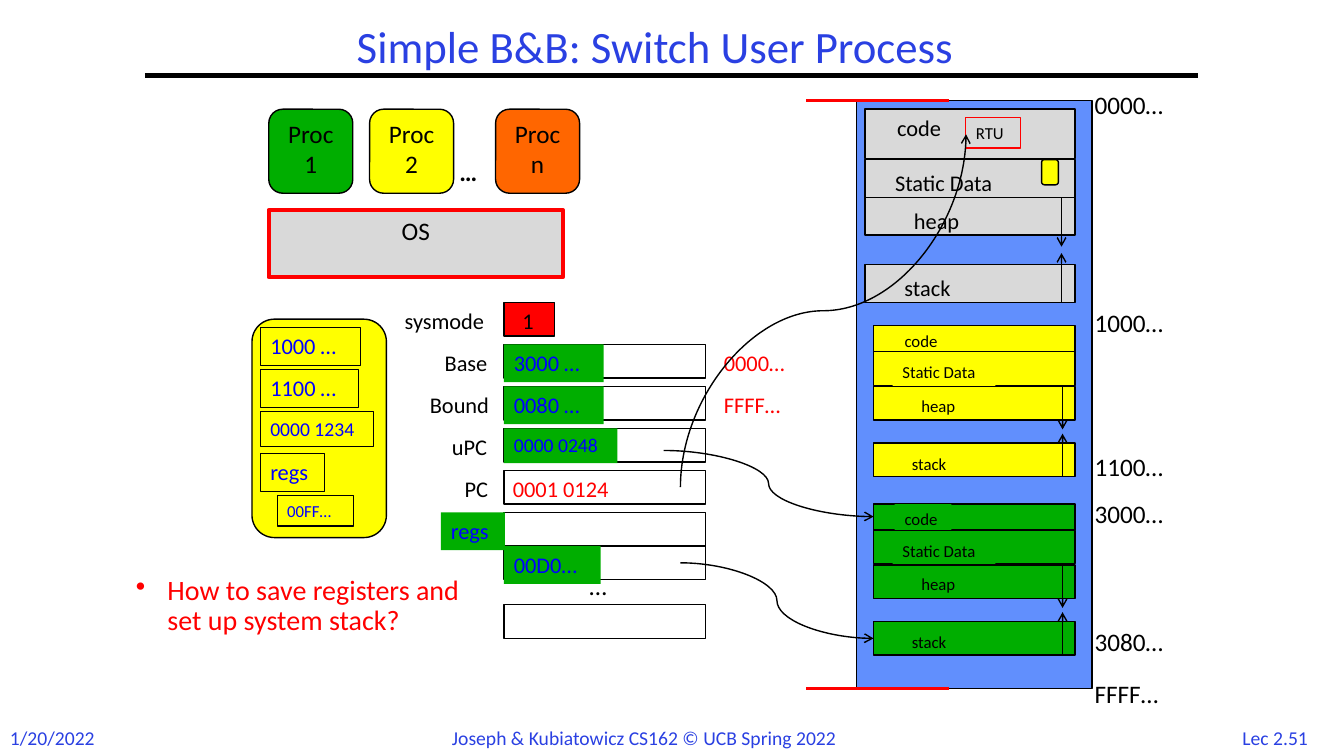
from dataclasses import dataclass

import pptx
import pptx.dml.color
import pptx.enum.shapes
import pptx.enum.text
import pptx.oxml.ns
import pptx.util
from lxml import etree

SHAPE = pptx.enum.shapes.MSO_SHAPE
CURVE = pptx.enum.shapes.MSO_CONNECTOR.CURVE
STRAIGHT = pptx.enum.shapes.MSO_CONNECTOR.STRAIGHT
ALIGN = pptx.enum.text.PP_ALIGN
ANCHOR = pptx.enum.text.MSO_ANCHOR
AUTO_SIZE = pptx.enum.text.MSO_AUTO_SIZE
EMU_PER_PX = 9525


@dataclass(frozen=True)
class Theme:
    font: str = "Calibri"
    black: str = "000000"
    heading: str = "2A40E2"
    red: str = "FF0000"
    blue: str = "0000FF"
    green: str = "00AE00"
    yellow: str = "FFFF00"
    orange: str = "FF6600"
    gray: str = "D9D9D9"
    memory: str = "618FFD"
    title: int = 32
    question: int = 20
    large: int = 18
    normal: int = 16
    small: int = 14
    tiny: int = 12


THEME = Theme()
LABEL_HEIGHT = {THEME.large: 38, THEME.normal: 36, THEME.small: 33, THEME.tiny: 29}


def px(length):
    return pptx.util.Emu(length * EMU_PER_PX)


def rgb(colour):
    return pptx.dml.color.RGBColor.from_string(colour)


class Diagram:
    def __init__(self, slide, theme):
        self.slide, self.theme = slide, theme
        self.shapes = slide.shapes

    def set_text(self, frame, text, size, colour, align=ALIGN.LEFT, bold=False):
        frame.text = text
        paragraph = frame.paragraphs[0]
        paragraph.alignment = align
        font = paragraph.runs[0].font
        font.name, font.size, font.bold = self.theme.font, pptx.util.Pt(size), bold
        font.color.rgb = rgb(colour)
        return paragraph

    def paint(self, shape, fill, line, weight):
        if fill:
            shape.fill.solid()
            shape.fill.fore_color.rgb = rgb(fill)
        else:
            shape.fill.background()
        if line:
            shape.line.color.rgb = rgb(line)
            shape.line.width = pptx.util.Pt(weight)
        else:
            shape.line.fill.background()

    def title(self, text, x, y, w, h):
        heading = self.slide.shapes.title
        heading.left, heading.top, heading.width, heading.height = map(px, (x, y, w, h))
        frame = heading.text_frame
        frame.auto_size, frame.vertical_anchor = AUTO_SIZE.NONE, ANCHOR.MIDDLE
        paragraph = self.set_text(frame, text, self.theme.title, self.theme.heading, ALIGN.CENTER)
        paragraph.line_spacing = 0.9

    def box(self, x, y, w, h, fill=None, text="", line=THEME.black, weight=1, kind=SHAPE.RECTANGLE):
        block = self.shapes.add_shape(kind, px(x), px(y), px(w), px(h))
        block.shadow.inherit = False
        self.paint(block, fill, line, weight)
        if text:
            block.text_frame.vertical_anchor = ANCHOR.TOP
            self.set_text(block.text_frame, text, self.theme.large, self.theme.black, ALIGN.CENTER)

    def label(self, text, x, y, w, size, colour=THEME.black, fill=None, line=None,
              align=ALIGN.LEFT, bold=False):
        tag = self.shapes.add_textbox(px(x), px(y), px(w), px(LABEL_HEIGHT[size]))
        self.paint(tag, fill, line, 0.75)
        tag.text_frame.word_wrap = False
        tag.text_frame.auto_size = AUTO_SIZE.SHAPE_TO_FIT_TEXT
        self.set_text(tag.text_frame, text, size, colour, align, bold)

    def bullet(self, text, x, y, w, h, indent):
        note = self.shapes.add_textbox(px(x), px(y), px(w), px(h))
        note.text_frame.word_wrap = True
        paragraph = self.set_text(note.text_frame, text, self.theme.question, self.theme.red)
        paragraph.line_spacing = 0.9
        properties = paragraph._p.get_or_add_pPr()
        properties.set("marL", str(px(indent)))
        properties.set("indent", str(-px(indent)))
        etree.SubElement(properties, pptx.oxml.ns.qn("a:buChar")).set("char", "•")

    def line(self, start, end, colour=THEME.black, weight=1, arrow=False, kind=STRAIGHT, turn=0):
        link = self.shapes.add_connector(kind, *map(px, start + end))
        link.line.color.rgb = rgb(colour)
        link.line.width = pptx.util.Pt(weight)
        properties = link._element.spPr
        if arrow:
            outline = properties.find(pptx.oxml.ns.qn("a:ln"))
            etree.SubElement(outline, pptx.oxml.ns.qn("a:tailEnd")).set("type", "arrow")
        if turn:
            properties.xfrm.set("rot", str(turn * 60000))
        etree.SubElement(properties, pptx.oxml.ns.qn("a:effectLst"))

    def memory_image(self, top, layout, fill, filled_labels=()):
        """Draws one process: its four segments, and arrows where heap and stack grow."""
        self.shapes = self.slide.shapes.add_group_shape().shapes
        x, w, size = layout["left"], layout["width"], layout["size"]
        for name, (dy, h, label_x, label_dy, label_w) in layout["segments"].items():
            self.box(x, top + dy, w, h, fill)
            self.label(name, label_x, top + dy + label_dy, label_w, size,
                       fill=fill if name in filled_labels else None)
        for start, end in layout["growth"]:
            self.line((layout["arrow_x"], top + start), (layout["arrow_x"], top + end), arrow=True)
        self.shapes = self.slide.shapes


# Segment: offset, height, label left, label offset, label width
KERNEL = dict(left=824, width=200, size=THEME.normal, arrow_x=1011, growth=[(184, 137), (84, 131)],
              segments={"code": (0, 47, 845, 0, 66), "Static Data": (48, 36, 843, 4, 125),
                        "heap": (84, 36, 861, 5, 67), "stack": (148, 36, 852, 4, 70)})
USER = dict(left=832, width=192, size=THEME.tiny, arrow_x=1012, growth=[(144, 103), (58, 99)],
            segments={"code": (0, 25, 852, 0, 54), "Static Data": (25, 32, 850, 5, 98),
                      "heap": (58, 32, 868, 4, 55), "stack": (112, 32, 859, 5, 57)})


def main():
    t = THEME
    deck = pptx.Presentation()
    deck.slide_width, deck.slide_height = px(1280), px(720)
    d = Diagram(deck.slides.add_slide(deck.slide_layouts[5]), t)

    # Title, rule and footer
    d.title("Simple B&B: Switch User Process", 208, 8, 832, 78)
    d.line((138, 72), (1141, 72), weight=3)
    d.label("1/20/2022", 0, 687, 103, t.small, t.heading)
    d.label("Joseph & Kubiatowicz CS162 © UCB Spring 2022", 421, 687, 437, t.small, t.heading)
    d.label("Lec 2.51", 1168, 687, 93, t.small, t.heading, align=ALIGN.CENTER)

    # Processes above the operating system
    d.box(256, 200, 280, 64, t.gray, "OS", t.red, 3)
    for name, x, fill in (("1", 256, t.green), ("2", 352, t.yellow), ("n", 472, t.orange)):
        d.box(x, 104, 80, 80, fill, f"Proc {name}", kind=SHAPE.ROUNDED_RECTANGLE)
    d.label("…", 428, 144, 43, t.large, bold=True)

    # Physical memory and its addresses
    d.box(816, 96, 224, 560, t.memory)
    d.memory_image(104, KERNEL, t.gray)
    d.memory_image(310, USER, t.yellow, {"Static Data"})
    d.memory_image(480, USER, t.green, {"code", "Static Data"})
    for address, y in (("0000…", 80), ("1000…", 288), ("1100…", 425),
                       ("3000…", 470), ("3080…", 592), ("FFFF…", 641)):
        d.label(address, 1033, y, 98, t.large)
    for bound_y in (96, 656):
        d.line((768, bound_y), (904, bound_y), t.red, 2.25)
    d.label("RTU", 920, 112, 52, t.tiny, line=t.red)
    d.box(992, 152, 16, 24, t.yellow, kind=SHAPE.ROUNDED_RECTANGLE)

    # Processor registers
    d.box(480, 288, 48, 32, t.red)
    d.label("1", 488, 288, 32, t.normal)
    for y in (328, 368, 408, 448, 488, 520, 576):
        d.box(480, y, 192, 32)
    for row, (name, w) in enumerate((("sysmode", 106), ("Base", 68), ("Bound", 82),
                                     ("uPC", 61), ("PC", 49))):
        d.label(name, 482 - w, 288 + 40 * row, w, t.normal)
    d.label("regs", 420, 488, 61, t.normal, t.blue, t.green)
    d.label("…", 552, 538, 43, t.large)
    for value, y, w, size in (("3000 …", 328, 95, t.normal), ("0080 …", 368, 95, t.normal),
                              ("0000 0248", 408, 108, t.small), ("00D0…", 520, 92, t.normal)):
        d.label(value, 480, y, w, size, t.blue, t.green)
    d.label("0001 0124", 479, 448, 121, t.normal, t.red)
    d.label("0000…", 680, 328, 88, t.normal, t.red)
    d.label("FFFF…", 680, 368, 93, t.normal, t.red)

    # Pointers from registers into memory
    d.line((952, 432), (616, 160), arrow=True, kind=CURVE, turn=90)
    d.line((632, 429), (832, 492), arrow=True, kind=CURVE)
    d.line((648, 536), (832, 608), arrow=True, kind=CURVE)

    # Saved state of process 2
    d.box(240, 304, 128, 208, t.yellow, kind=SHAPE.ROUNDED_RECTANGLE)
    for row, (value, x, w, size) in enumerate((
            ("1000 …", 248, 95, t.normal), ("1100 …", 248, 93, t.normal),
            ("0000 1234", 248, 108, t.small), ("regs", 248, 61, t.normal),
            ("00FF…", 264, 73, t.tiny))):
        d.label(value, x, 312 + 40 * row, w, size, t.blue, t.yellow, t.black)

    # Question
    d.bullet("How to save registers and set up system stack?", 120, 544, 344, 128, 30)

    deck.save("out.pptx")


if __name__ == "__main__":
    main()
